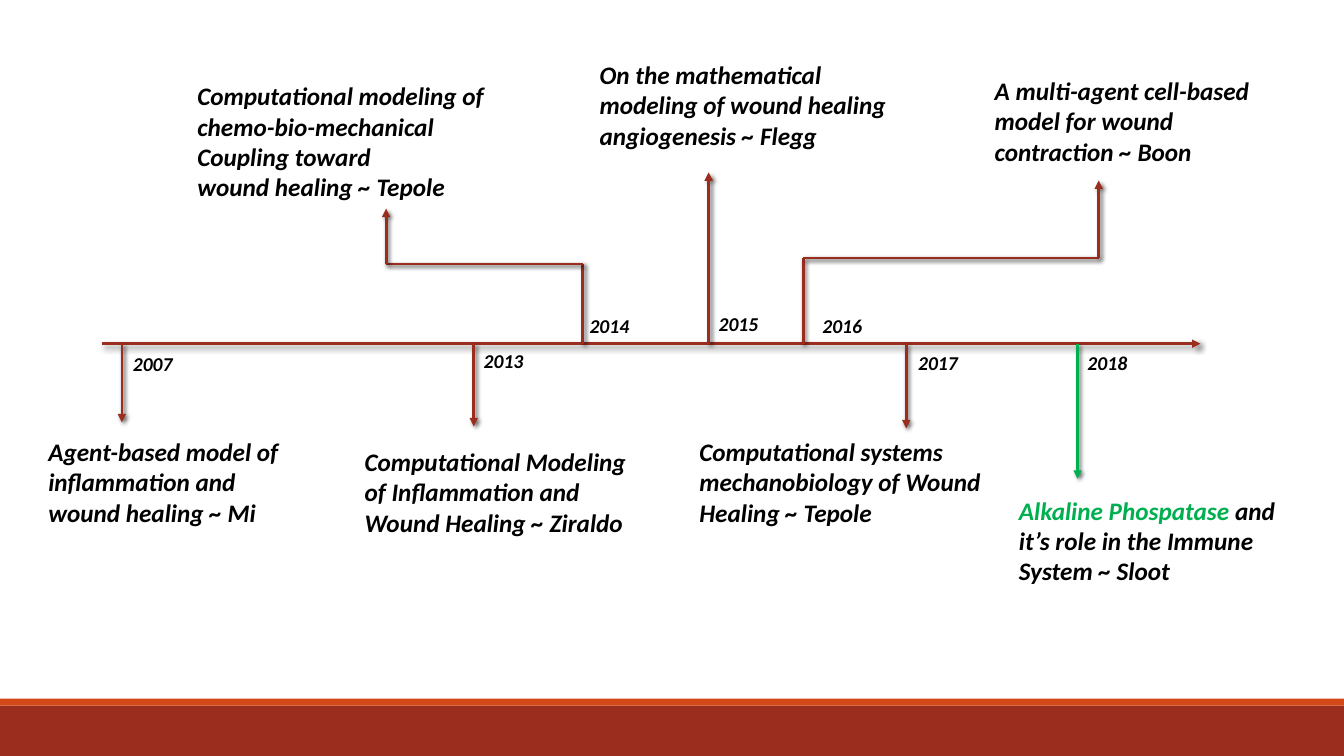
import pptx
import pptx.util
import pptx.dml.color
import pptx.enum.shapes
import pptx.oxml
import pptx.oxml.ns

Pt = pptx.util.Pt
RUST, ORANGE, GREEN, BLACK = "9B2D1F", "D34817", "00B050", "000000"
AXIS_Y = 245.5

EVENTS = [
    dict(year="2007", route=[(87.1, AXIS_Y), (87.1, 301.7)], label=(87.8, 247.7), color=RUST,
         caption=(27.4, 308.2, 201.6, 72.7),
         text=[[("Agent-based model of inflammation and wound healing ~ Mi", BLACK)]]),
    dict(year="2013", route=[(338.4, AXIS_Y), (338.4, 304.6)], label=(338.4, 245.5), color=RUST,
         caption=(253.4, 315.4, 211.7, 72.7),
         text=[[("Computational Modeling of Inflammation and Wound Healing ~ Ziraldo", BLACK)]]),
    dict(year="2014", route=[(416.2, AXIS_Y), (416.2, 188.6), (275.8, 188.6), (275.8, 149)],
         label=(414, 221), color=RUST, caption=(133.9, 54, 263.5, 94.3),
         text=[[("Computational modeling of chemo-bio-mechanical", BLACK)],
               [("Coupling toward", BLACK)],
               [("wound healing ~ Tepole", BLACK)]]),
    dict(year="2015", route=[(506.2, AXIS_Y), (506.2, 123.1)], label=(506.2, 219.6), color=RUST,
         caption=(421.2, 38.9, 241.9, 72.7),
         text=[[("On the mathematical modeling of wound healing angiogenesis ~ Flegg", BLACK)]]),
    dict(year="2016", route=[(573.8, AXIS_Y), (573.8, 184.3), (784.8, 184.3), (784.8, 128.9)],
         label=(580.3, 221), color=RUST, caption=(703.4, 50.4, 229, 72.7),
         text=[[("A multi-agent cell-based model for wound contraction ~ Boon", BLACK)]]),
    dict(year="2017", route=[(647.3, AXIS_Y), (647.3, 306)], label=(648.7, 247), color=RUST,
         caption=(492.5, 308.2, 223.2, 72.7),
         text=[[("Computational systems mechanobiology of Wound Healing ~ Tepole", BLACK)]]),
    dict(year="2018", route=[(769.7, AXIS_Y), (769.7, 342)], label=(769.7, 247), color=GREEN,
         caption=(720.7, 349.9, 212.4, 94.3),
         text=[[("Alkaline Phospatase ", GREEN),
                ("and it’s role in the Immune System ~ Sloot", BLACK)]]),
]

SHADOW = (
    f'<a:effectLst {pptx.oxml.ns.nsdecls("a")}>'
    '<a:outerShdw blurRad="38100" dist="25400" dir="2700000" algn="br" rotWithShape="0">'
    '<a:srgbClr val="000000"><a:alpha val="60000"/></a:srgbClr>'
    '</a:outerShdw></a:effectLst>'
)
ARROWHEAD = f'<a:tailEnd {pptx.oxml.ns.nsdecls("a")} type="triangle"/>'


def rgb(color):
    return pptx.dml.color.RGBColor.from_string(color)


def add_line(s, start, end, color, arrow):
    line = s.shapes.add_connector(
        pptx.enum.shapes.MSO_CONNECTOR.STRAIGHT, *(Pt(v) for v in (*start, *end)))
    line.line.color.rgb = rgb(color)
    line.line.width = Pt(2)
    if arrow:
        line.line._get_or_add_ln().append(pptx.oxml.parse_xml(ARROWHEAD))
    line._element.spPr.append(pptx.oxml.parse_xml(SHADOW))


def add_text(s, left, top, width, height, paragraphs, size):
    tf = s.shapes.add_textbox(Pt(left), Pt(top), Pt(width), Pt(height)).text_frame
    tf.word_wrap = True
    for i, runs in enumerate(paragraphs):
        p = tf.paragraphs[0] if i == 0 else tf.add_paragraph()
        for text, color in runs:
            r = p.add_run()
            r.text = text
            r.font.name = "Calibri"
            r.font.size = Pt(size)
            r.font.bold = r.font.italic = True
            r.font.color.rgb = rgb(color)


def add_footer(s, left, top, width, height):
    stripe = 5
    for y, h, color in ((top + stripe, height - stripe, RUST), (top, stripe, ORANGE)):
        sp = s.shapes.add_shape(
            pptx.enum.shapes.MSO_SHAPE.RECTANGLE, Pt(left), Pt(y), Pt(width), Pt(h))
        sp.shadow.inherit = False
        sp.fill.solid()
        sp.fill.fore_color.rgb = rgb(color)
        sp.line.fill.background()


def add_event(s, left, top, event):
    route = [(left + x, top + y) for x, y in event["route"]]
    for i, (start, end) in enumerate(zip(route, route[1:]), 2):
        add_line(s, start, end, event["color"], i == len(route))
    x, y = event["label"]
    add_text(s, left + x, top + y, 59, 24.5, [[(event["year"], BLACK)]], 14)
    x, y, width, height = event["caption"]
    add_text(s, left + x, top + y, width, height, event["text"], 18)


def add_timeline(s, left, top, width):
    y = top + AXIS_Y
    add_line(s, (left + 72.7, y), (left + width - 102.5, y), RUST, True)
    for event in EVENTS:
        add_event(s, left, top, event)


def main():
    prs = pptx.Presentation()
    prs.slide_width, prs.slide_height = Pt(960), Pt(540)
    s = prs.slides.add_slide(prs.slide_layouts[6])
    add_footer(s, 0, 499, 960, 41)
    add_timeline(s, 0, 0, 960)
    prs.save("out.pptx")


if __name__ == "__main__":
    main()
